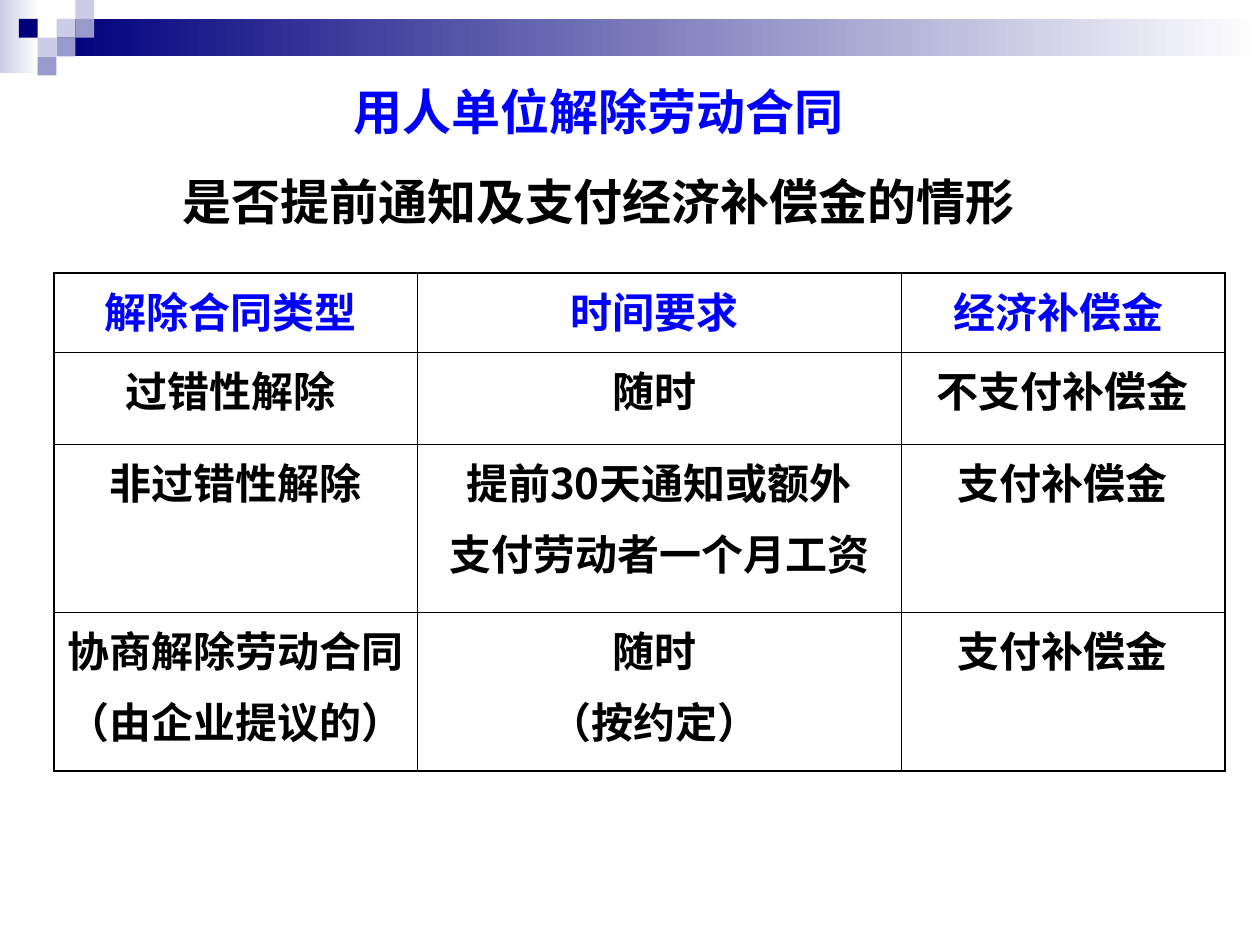
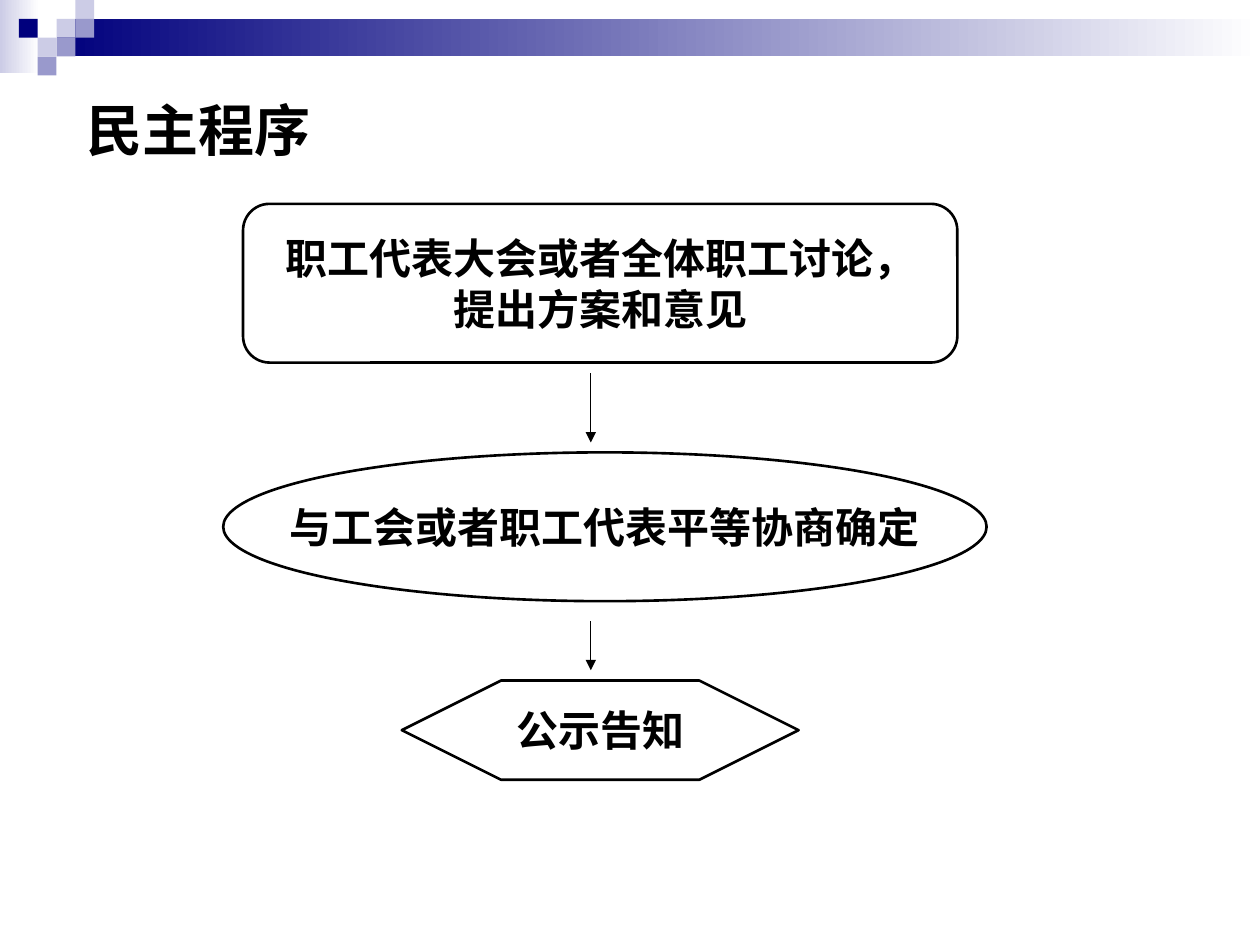
from lxml.etree import SubElement
from pptx import Presentation
from pptx.dml.color import RGBColor
from pptx.enum.shapes import MSO_CONNECTOR, MSO_SHAPE
from pptx.enum.text import MSO_ANCHOR, PP_ALIGN
from pptx.oxml.ns import qn
from pptx.util import Cm, Pt

COLORS = {
    "navy": "00007D",
    "violet": "9999CC",
    "lavender": "CCCCE6",
    "white": "FFFFFF",
    "blue": "0000FF",
    "black": "000000",
}
TITLE_FONT, TABLE_FONT, FLOW_FONT = "DejaVu Sans", "Noto Sans CJK SC", "Arial"
SLIDE_W, SLIDE_H = 25.4, 19.05
SQUARE = 0.38
SQUARES = [
    (3, 1, "lavender"), (4, 0, "lavender"), (4, 1, "violet"), (2, 2, "lavender"),
    (1, 1, "navy"), (3, 2, "violet"), (2, 3, "violet"),
]
COL_WIDTHS = [7.32, 9.75, 6.53]
ROW_HEIGHTS = [1.6, 1.85, 3.38, 3.2]
TERMINATION_ROWS = [
    [["解除合同类型 "], ["时间要求 "], ["经济补偿金 "]],
    [["过错性解除 "], ["随时 "], ["不支付补偿金"]],
    [["非过错性解除"], ["提前30天通知或额外", "支付劳动者一个月工资"], ["支付补偿金"]],
    [["协商解除劳动合同", "（由企业提议的）"], ["随时 ", "（按约定） "], ["支付补偿金"]],
]
FLOW_STEPS = [
    (MSO_SHAPE.ROUNDED_RECTANGLE, 0.167, (0.4, 0, 14.4, 3.2),
     ["职工代表大会或者全体职工讨论，", "提出方案和意见"]),
    (MSO_SHAPE.OVAL, None, (0, 5.01, 15.39, 3), ["与工会或者职工代表平等协商确定"]),
    (MSO_SHAPE.HEXAGON, 1, (3.6, 9.61, 8, 2), ["公示告知"]),
]
FLOW_ARROWS = [(3.41, 4.81), (8.41, 9.4)]
ARROW_X = 7.41


def rgb(name):
    return RGBColor.from_string(COLORS[name])


def write_lines(tf, lines, font, size, colors, align=PP_ALIGN.CENTER, before=0):
    for i, (text, color) in enumerate(zip(lines, colors)):
        p = tf.add_paragraph() if i else tf.paragraphs[0]
        p.alignment = align
        p.space_before = Pt(before)
        r = p.add_run()
        r.text = text
        r.font.size = Pt(size)
        r.font.bold = True
        r.font.name = font
        r.font.color.rgb = rgb(color)
        SubElement(r.font._element, qn("a:ea"), typeface=font)


def add_block(slide, box, color, fade=False):
    sp = slide.shapes.add_shape(MSO_SHAPE.RECTANGLE, *map(Cm, box))
    sp.shadow.inherit = False
    sp.line.fill.background()
    if fade:
        sp.fill.gradient()
        sp.fill.gradient_angle = 0
        for stop, position, name in zip(sp.fill.gradient_stops, (0, 1), (color, "white")):
            stop.position = position
            stop.color.rgb = rgb(name)
    else:
        sp.fill.solid()
        sp.fill.fore_color.rgb = rgb(color)


def add_header_band(slide):
    band_left = 3 * SQUARE
    add_block(slide, (0, 0, 0.79, 1.47), "lavender", fade=True)
    add_block(slide, (band_left, SQUARE, SLIDE_W - band_left, 2 * SQUARE), "navy", fade=True)
    for col, row, color in SQUARES:
        add_block(slide, (col * SQUARE, row * SQUARE, SQUARE, SQUARE), color)


def add_title(slide, box, lines, font, size, colors, align, anchor, before=0):
    tf = slide.shapes.add_textbox(*map(Cm, box)).text_frame
    tf.word_wrap = True
    tf.vertical_anchor = anchor
    write_lines(tf, lines, font, size, colors, align, before)


def set_borders(cell, widths):
    tcPr = cell._tc.get_or_add_tcPr()
    for i, (side, width) in enumerate(widths.items()):
        ln = tcPr.makeelement(qn(f"a:ln{side}"), {"w": str(Pt(width))})
        SubElement(SubElement(ln, qn("a:solidFill")), qn("a:srgbClr"), val=COLORS["black"])
        tcPr.insert(i, ln)


def add_termination_table(slide, left, top):
    last_row, last_col = len(ROW_HEIGHTS) - 1, len(COL_WIDTHS) - 1
    table = slide.shapes.add_table(
        last_row + 1, last_col + 1, Cm(left), Cm(top),
        Cm(sum(COL_WIDTHS)), Cm(sum(ROW_HEIGHTS))).table
    table.first_row = table.horz_banding = False
    for column, width in zip(table.columns, COL_WIDTHS):
        column.width = Cm(width)
    for row, height in zip(table.rows, ROW_HEIGHTS):
        row.height = Cm(height)
    for i, row in enumerate(TERMINATION_ROWS):
        for j, lines in enumerate(row):
            cell = table.cell(i, j)
            cell.fill.background()
            color = "black" if i else "blue"
            write_lines(cell.text_frame, lines, TABLE_FONT, 24, [color] * len(lines), before=6)
            outer = {"L": j == 0, "R": j == last_col, "T": i == 0, "B": i == last_row}
            set_borders(cell, {s: 1.08 if edge else 0.45 for s, edge in outer.items()})


def add_arrow(slide, x, top, bottom):
    cxn = slide.shapes.add_connector(MSO_CONNECTOR.STRAIGHT, Cm(x), Cm(top), Cm(x), Cm(bottom))
    cxn.line.color.rgb = rgb("black")
    cxn.line.width = Pt(0.75)
    SubElement(cxn.line._get_or_add_ln(), qn("a:tailEnd"), type="triangle")
    SubElement(cxn._element.spPr, qn("a:effectLst"))


def add_procedure_flow(slide, left, top):
    for start, end in FLOW_ARROWS:
        add_arrow(slide, left + ARROW_X, top + start, top + end)
    for preset, adjustment, (x, y, w, h), lines in FLOW_STEPS:
        sp = slide.shapes.add_shape(preset, Cm(left + x), Cm(top + y), Cm(w), Cm(h))
        if adjustment is not None:
            sp.adjustments[0] = adjustment
        sp.shadow.inherit = False
        sp.fill.background()
        sp.line.color.rgb = rgb("black")
        sp.line.width = Pt(1.5)
        tf = sp.text_frame
        tf.word_wrap = False
        tf.vertical_anchor = MSO_ANCHOR.MIDDLE
        write_lines(tf, lines, FLOW_FONT, 24, ["black"] * len(lines))


def add_slide(prs):
    slide = prs.slides.add_slide(prs.slide_layouts[6])
    add_header_band(slide)
    return slide


def termination_slide(prs):
    slide = add_slide(prs)
    add_title(slide, (2.54, 1.52, 19.05, 3.25),
              ["用人单位解除劳动合同", "是否提前通知及支付经济补偿金的情形"],
              TITLE_FONT, 28, ["blue", "black"], PP_ALIGN.CENTER, MSO_ANCHOR.TOP, before=17.5)
    add_termination_table(slide, 1.09, 5.51)


def procedure_slide(prs):
    slide = add_slide(prs)
    add_title(slide, (1.5, 0.91, 22.25, 3.38), ["民主程序"],
              FLOW_FONT, 32, ["black"], PP_ALIGN.LEFT, MSO_ANCHOR.MIDDLE)
    add_procedure_flow(slide, 4.5, 4.11)


def main():
    prs = Presentation()
    prs.slide_width, prs.slide_height = Cm(SLIDE_W), Cm(SLIDE_H)
    termination_slide(prs)
    procedure_slide(prs)
    prs.save("out.pptx")


if __name__ == "__main__":
    main()
